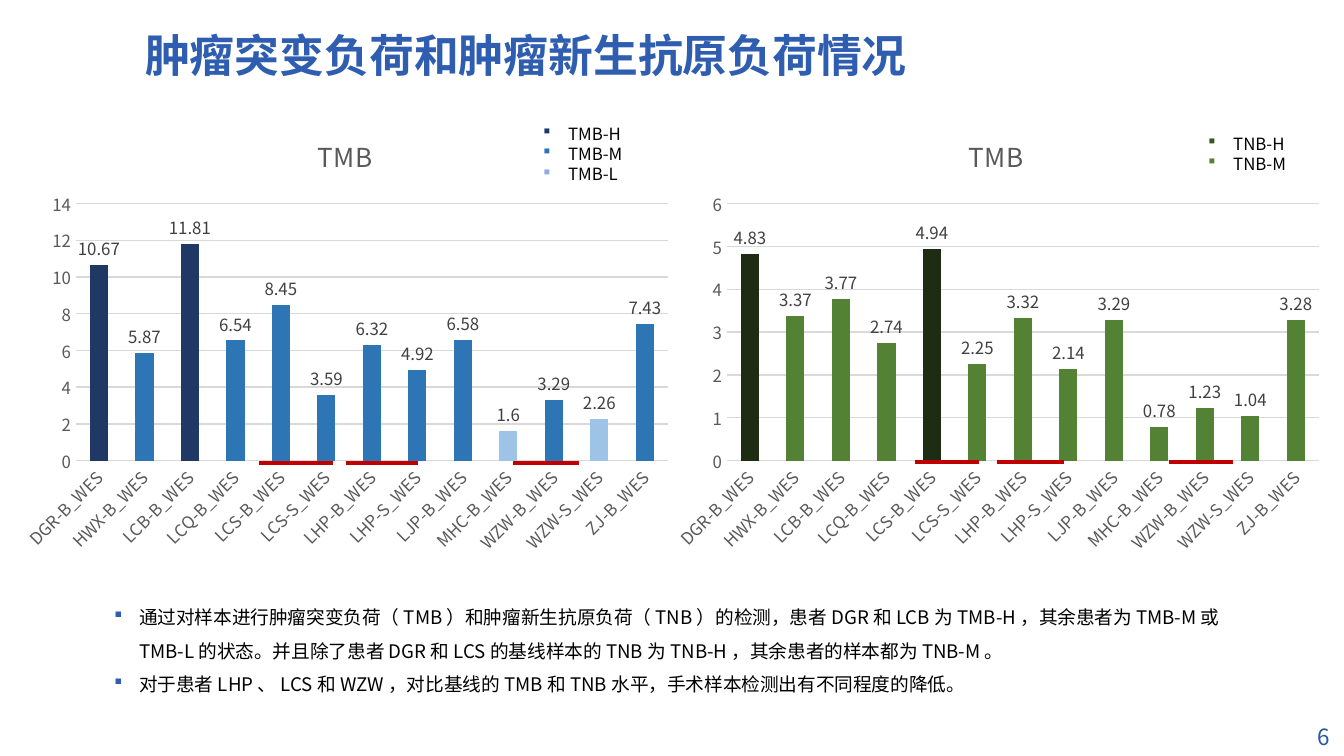
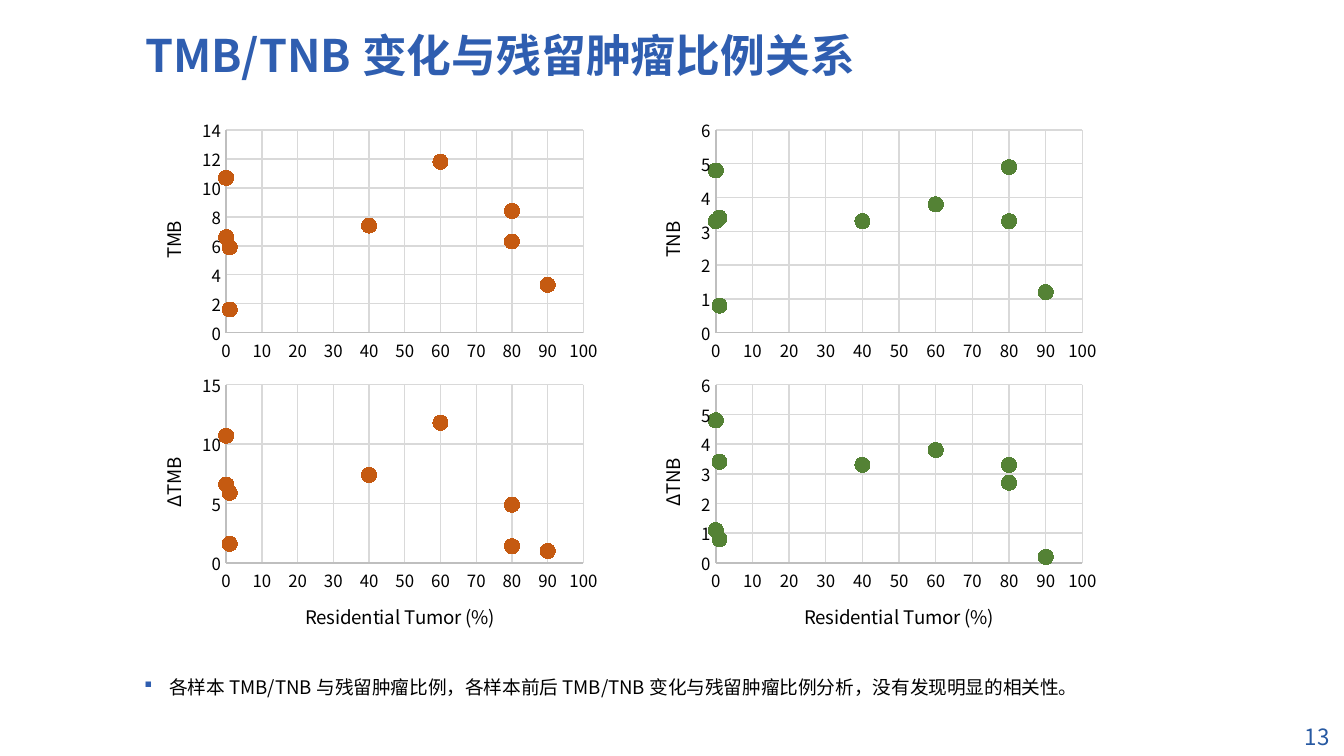
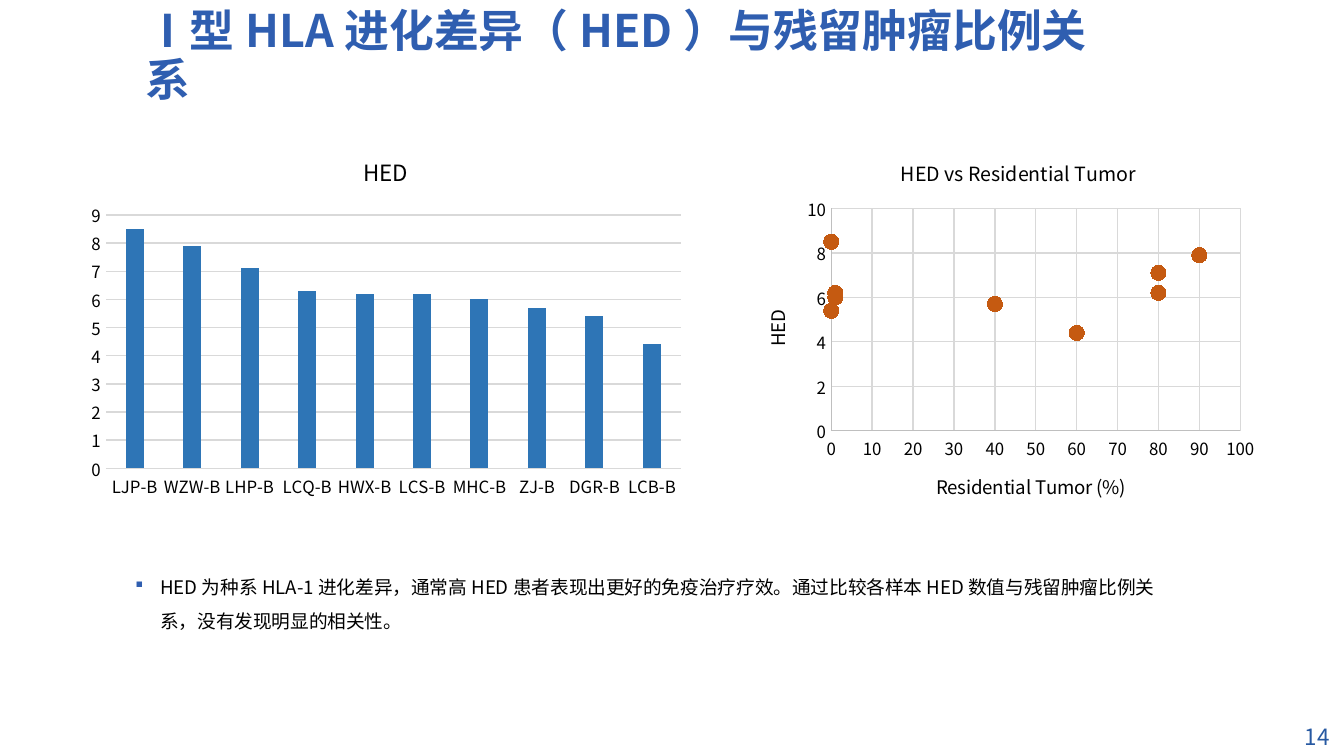
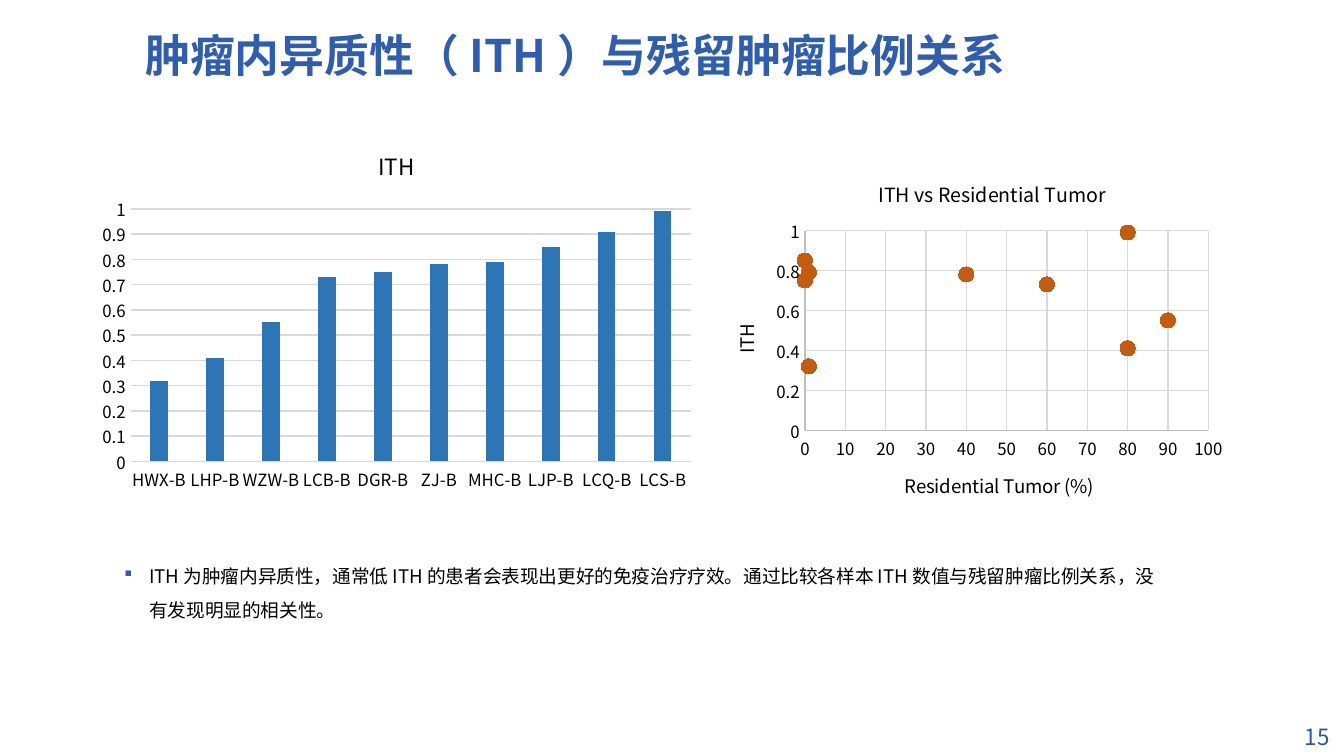
import pptx
import pptx.util
import pptx.chart.data
import pptx.dml.color
import pptx.enum.chart
import pptx.enum.shapes
import pptx.enum.text
import pptx.oxml.ns
import lxml.etree

RGB = pptx.dml.color.RGBColor
BLACK = RGB(0x00, 0x00, 0x00)
TITLE_BLUE = RGB(0x2F, 0x5E, 0xB0)
NUMBER_BLUE = RGB(0x27, 0x59, 0xA2)
NAVY = RGB(0x20, 0x38, 0x64)
BLUE = RGB(0x2E, 0x75, 0xB6)
PALE_BLUE = RGB(0x9D, 0xC3, 0xE6)
LEGEND_BLUE = RGB(0x8F, 0xAA, 0xDC)
DARK_GREEN = RGB(0x1D, 0x2C, 0x12)
LEGEND_GREEN = RGB(0x38, 0x57, 0x23)
GREEN = RGB(0x54, 0x82, 0x35)
ORANGE = RGB(0xC5, 0x5A, 0x11)
RED = RGB(0xC0, 0x00, 0x00)
DARK_GRAY = RGB(0x40, 0x40, 0x40)
GRAY = RGB(0x59, 0x59, 0x59)
AXIS_GRAY = RGB(0xBF, 0xBF, 0xBF)
GRID_GRAY = RGB(0xD9, 0xD9, 0xD9)

FONT = "Noto Sans CJK SC"
PIXELS_PER_INCH = 134.4
BULLET_INDENT = 25

SAMPLES = ["DGR-B_WES", "HWX-B_WES", "LCB-B_WES", "LCQ-B_WES", "LCS-B_WES", "LCS-S_WES", "LHP-B_WES",
           "LHP-S_WES", "LJP-B_WES", "MHC-B_WES", "WZW-B_WES", "WZW-S_WES", "ZJ-B_WES"]
RESIDUAL = [0, 1, 60, 80, 80, 0, 1, 90, 40]
RESIDUAL_WITH_UNKNOWN = RESIDUAL[:3] + [None] + RESIDUAL[3:]
RESIDUAL_LABEL = "Residential Tumor (%)"
BURDEN = dict(labels=SAMPLES, title="TMB", title_size=14, gap=150, overlap=0, ink=GRAY, show_values=True, tilt=-45)

SLIDES = [
    dict(
        number=6, title="肿瘤突变负荷和肿瘤新生抗原负荷情况", title_width=879,
        columns=[
            dict(BURDEN, box=(661, 113, 671, 450), color=GREEN, accents={0: DARK_GREEN, 4: DARK_GREEN},
                 values=[4.83, 3.37, 3.77, 2.74, 4.94, 2.25, 3.32, 2.14, 3.29, 0.78, 1.23, 1.04, 3.28]),
            dict(BURDEN, box=(10, 113, 671, 450), color=BLUE,
                 accents={0: NAVY, 2: NAVY, 9: PALE_BLUE, 11: PALE_BLUE},
                 values=[10.67, 5.87, 11.81, 6.54, 8.45, 3.59, 6.32, 4.92, 6.58, 1.6, 3.29, 2.26, 7.43]),
        ],
        notes_box=(101, 588, 1159, 116),
        notes=["通过对样本进行肿瘤突变负荷（TMB）和肿瘤新生抗原负荷（TNB）的检测，患者DGR和LCB为TMB-H，"
               "其余患者为TMB-M或TMB-L的状态。并且除了患者DGR和LCS的基线样本的TNB为TNB-H，"
               "其余患者的样本都为TNB-M。",
               "对于患者LHP、LCS和WZW，对比基线的TMB和TNB水平，手术样本检测出有不同程度的降低。"],
        legends=[
            ((530, 117, 117, 75), [("TMB-H", NAVY), ("TMB-M", BLUE), ("TMB-L", LEGEND_BLUE)]),
            ((1195, 127, 117, 54), [("TNB-H", LEGEND_GREEN), ("TNB-M", GREEN)]),
        ],
        pair_marks=[(463, [(259, 333), (346, 418), (513, 579)]),
                    (462, [(915, 979), (997, 1064), (1169, 1233)])],
    ),
    dict(
        number=13, title="TMB/TNB变化与残留肿瘤比例关系", title_width=953,
        scatters=[
            dict(box=(131, 113, 476, 254), y_title="TMB", color=ORANGE,
                 values=[10.7, 5.9, 11.8, 8.4, 6.3, 6.6, 1.6, 3.3, 7.4]),
            dict(box=(630, 113, 476, 254), y_title="TNB", color=GREEN,
                 values=[4.8, 3.4, 3.8, 4.9, 3.3, 3.3, 0.8, 1.2, 3.3]),
            dict(box=(131, 367, 476, 291), y_title="ΔTMB", x_title=RESIDUAL_LABEL, color=ORANGE, top=15, step=5,
                 values=[10.7, 5.9, 11.8, 4.9, 1.4, 6.6, 1.6, 1, 7.4]),
            dict(box=(630, 367, 476, 291), y_title="ΔTNB", x_title=RESIDUAL_LABEL, color=GREEN,
                 values=[4.8, 3.4, 3.8, 2.7, 3.3, 1.1, 0.8, 0.2, 3.3]),
        ],
        notes_box=(131, 658, 1058, 47),
        notes=["各样本TMB/TNB与残留肿瘤比例，各样本前后TMB/TNB变化与残留肿瘤比例分析，没有发现明显的相关性。"],
    ),
    dict(
        number=14, title="Ⅰ型HLA进化差异（HED）与残留肿瘤比例关系", title_width=995,
        columns=[
            dict(box=(79, 134, 614, 371), title="HED", color=BLUE,
                 labels=["LJP-B", "WZW-B", "LHP-B", "LCQ-B", "HWX-B", "LCS-B", "MHC-B", "ZJ-B", "DGR-B", "LCB-B"],
                 values=[8.5, 7.9, 7.1, 6.3, 6.2, 6.2, 6, 5.7, 5.4, 4.4]),
        ],
        scatters=[
            dict(box=(735, 134, 530, 394), title="HED vs Residential Tumor", title_at=(162, 19), y_title="HED",
                 x_title=RESIDUAL_LABEL, color=ORANGE, residual=RESIDUAL_WITH_UNKNOWN,
                 values=[5.4, 6.2, 4.4, 6.3, 6.2, 7.1, 8.5, 6, 7.9, 5.7]),
        ],
        notes_box=(122, 558, 1058, 78),
        notes=["HED为种系HLA-1进化差异，通常高HED患者表现出更好的免疫治疗疗效。"
               "通过比较各样本HED数值与残留肿瘤比例关系，没有发现明显的相关性。"],
    ),
    dict(
        number=15, title="肿瘤内异质性（ITH）与残留肿瘤比例关系", title_width=953,
        columns=[
            dict(box=(90, 128, 613, 370), title="ITH", color=BLUE, top=1,
                 labels=["HWX-B", "LHP-B", "WZW-B", "LCB-B", "DGR-B", "ZJ-B", "MHC-B", "LJP-B", "LCQ-B", "LCS-B"],
                 values=[0.32, 0.41, 0.55, 0.73, 0.75, 0.78, 0.79, 0.85, 0.91, 0.99]),
        ],
        scatters=[
            dict(box=(704, 157, 529, 370), title="ITH vs Residential Tumor", title_at=(171, 17), y_title="ITH",
                 x_title=RESIDUAL_LABEL, color=ORANGE, top=1, step=0.2,
                 values=[0.75, 0.32, 0.73, 0.99, 0.41, 0.85, 0.79, 0.55, 0.78]),
        ],
        notes_box=(111, 547, 1058, 78),
        notes=["ITH为肿瘤内异质性，通常低ITH的患者会表现出更好的免疫治疗疗效。"
               "通过比较各样本ITH数值与残留肿瘤比例关系，没有发现明显的相关性。"],
    ),
]


def px(length):
    return pptx.util.Emu(round(length * 914400 / PIXELS_PER_INCH))


def place(box):
    return [px(length) for length in box]


def add_child(parent, tag, **attributes):
    return lxml.etree.SubElement(parent, pptx.oxml.ns.qn(tag), attributes)


def set_font(font, size, color, bold=False):
    font.name = FONT
    font.size = pptx.util.Pt(size)
    font.bold = bold
    font.color.rgb = color


def add_bullet(paragraph, color):
    properties = paragraph._p.get_or_add_pPr()
    properties.set("marL", str(px(BULLET_INDENT)))
    properties.set("indent", str(-px(BULLET_INDENT)))
    add_child(add_child(properties, "a:buClr"), "a:srgbClr", val=str(color))
    add_child(properties, "a:buFont", typeface="Wingdings", charset="2")
    add_child(properties, "a:buChar", char="§")


def add_text(slide, box, lines, size=10, color=BLACK, bold=False, align=None, middle=False, spacing=None):
    frame = slide.shapes.add_textbox(*place(box)).text_frame
    frame.word_wrap = True
    if middle:
        frame.vertical_anchor = pptx.enum.text.MSO_ANCHOR.MIDDLE
    for index, (text, bullet_color) in enumerate(lines):
        paragraph = frame.paragraphs[0] if index == 0 else frame.add_paragraph()
        paragraph.alignment = align
        if spacing:
            paragraph.line_spacing = spacing
        if bullet_color is not None:
            add_bullet(paragraph, bullet_color)
        run = paragraph.add_run()
        run.text = text
        set_font(run.font, size, color, bold)
        add_child(run.font._element, "a:ea", typeface=FONT)


def fill_title(title, text, size, color=BLACK):
    title.text_frame.text = text
    set_font(title.text_frame.paragraphs[0].runs[0].font, size, color)


def move_title(title, offset, box):
    for old_layout in title._element.xpath("c:layout"):
        title._element.remove(old_layout)
    layout = lxml.etree.Element(pptx.oxml.ns.qn("c:layout"))
    manual = add_child(layout, "c:manualLayout")
    add_child(manual, "c:xMode", val="edge")
    add_child(manual, "c:yMode", val="edge")
    add_child(manual, "c:x", val=str(round(offset[0] / box[2], 3)))
    add_child(manual, "c:y", val=str(round(offset[1] / box[3], 3)))
    title._element.xpath("c:tx")[0].addnext(layout)


def set_line(line, color, width=0.75):
    if color is None:
        line.fill.background()
    else:
        line.color.rgb = color
        line.width = pptx.util.Pt(width)


def style_axis(axis, ink, line_color, grid=True, title=None, top=None, step=None):
    axis.major_tick_mark = axis.minor_tick_mark = pptx.enum.chart.XL_TICK_MARK.NONE
    set_font(axis.tick_labels.font, 9, ink)
    set_line(axis.format.line, line_color)
    axis.has_major_gridlines = grid
    if grid:
        set_line(axis.major_gridlines.format.line, GRID_GRAY)
    axis.has_title = title is not None
    if title:
        fill_title(axis.axis_title, title, 10)
    if top is not None:
        axis.maximum_scale = top
    if step is not None:
        axis.major_unit = step


def add_chart(slide, kind, box, data, title, title_size, title_color):
    chart = slide.shapes.add_chart(kind, *place(box), data).chart
    set_font(chart.font, 10, BLACK)
    chart.has_legend = False
    chart.has_title = title is not None
    if title:
        fill_title(chart.chart_title, title, title_size, title_color)
        chart.chart_title.include_in_layout = False
    chart.plots[0].vary_by_categories = False
    return chart


def add_columns(slide, box, labels, values, color, title, title_size=12, gap=219, overlap=-27, ink=BLACK,
                accents=None, show_values=False, tilt=None, top=None):
    data = pptx.chart.data.CategoryChartData()
    data.categories = labels
    data.add_series(title, values)
    chart = add_chart(slide, pptx.enum.chart.XL_CHART_TYPE.COLUMN_CLUSTERED, box, data, title, title_size, ink)
    style_axis(chart.category_axis, ink, None if show_values else GRID_GRAY, grid=False)
    style_axis(chart.value_axis, ink, None, top=top)
    rotation = -60000000 if tilt is None else tilt * 60000
    chart.category_axis._element.xpath("c:txPr/a:bodyPr")[0].set("rot", str(rotation))
    plot = chart.plots[0]
    plot.gap_width = gap
    plot.overlap = overlap
    bars = plot.series[0]
    bars.format.fill.solid()
    bars.format.fill.fore_color.rgb = color
    for index, accent in (accents or {}).items():
        fill = bars.points[index].format.fill
        fill.solid()
        fill.fore_color.rgb = accent
    if show_values:
        plot.has_data_labels = True
        plot.data_labels.show_value = True
        plot.data_labels.position = pptx.enum.chart.XL_LABEL_POSITION.OUTSIDE_END
        set_font(plot.data_labels.font, 9, DARK_GRAY)


def add_scatter(slide, box, values, color, y_title, x_title=None, title=None, title_at=None, top=None, step=None,
                residual=RESIDUAL):
    data = pptx.chart.data.XyChartData()
    cloud = data.add_series(y_title)
    for share, value in zip(residual, values):
        cloud.add_data_point(share, value)
    chart = add_chart(slide, pptx.enum.chart.XL_CHART_TYPE.XY_SCATTER, box, data, title, 10.5, BLACK)
    if title_at:
        move_title(chart.chart_title, title_at, box)
    style_axis(chart.category_axis, BLACK, AXIS_GRAY, title=x_title)
    style_axis(chart.value_axis, BLACK, AXIS_GRAY, title=y_title, top=top, step=step)
    chart.value_axis._element.xpath("c:title//a:bodyPr")[0].set("rot", str(-90 * 60000))
    dots = chart.plots[0].series[0]
    for unknown in dots._element.xpath("c:xVal//c:pt[c:v='None' or c:v='']"):
        unknown.getparent().remove(unknown)
    dots.smooth = False
    dots.format.line.fill.background()
    dots.marker.style = pptx.enum.chart.XL_MARKER_STYLE.CIRCLE
    dots.marker.size = 8
    dots.marker.format.fill.solid()
    dots.marker.format.fill.fore_color.rgb = color
    set_line(dots.marker.format.line, color)


def add_pair_mark(slide, left, right, y):
    mark = slide.shapes.add_connector(pptx.enum.shapes.MSO_CONNECTOR.STRAIGHT, px(left), px(y), px(right), px(y))
    set_line(mark.line, RED, 2)
    add_child(mark._element.spPr, "a:effectLst")


def add_slide(deck, content):
    slide = deck.slides.add_slide(deck.slide_layouts[6])
    add_text(slide, (1221, 718, 122, 38), [(str(content["number"]), None)], size=12, color=NUMBER_BLUE,
             align=pptx.enum.text.PP_ALIGN.RIGHT, middle=True)
    add_text(slide, (132, 18, content["title_width"], 79), [(content["title"], None)], size=24,
             color=TITLE_BLUE, bold=True, middle=True, spacing=0.9)
    for columns in content.get("columns", []):
        add_columns(slide, **columns)
    for scatter in content.get("scatters", []):
        add_scatter(slide, **scatter)
    add_text(slide, content["notes_box"], [(note, TITLE_BLUE) for note in content["notes"]], spacing=1.5)
    for box, entries in content.get("legends", []):
        add_text(slide, box, entries, size=9)
    for y, spans in content.get("pair_marks", []):
        for left, right in spans:
            add_pair_mark(slide, left, right, y)


deck = pptx.Presentation()
deck.slide_width, deck.slide_height = px(1344), px(756)
for content in SLIDES:
    add_slide(deck, content)
deck.save("out.pptx")
